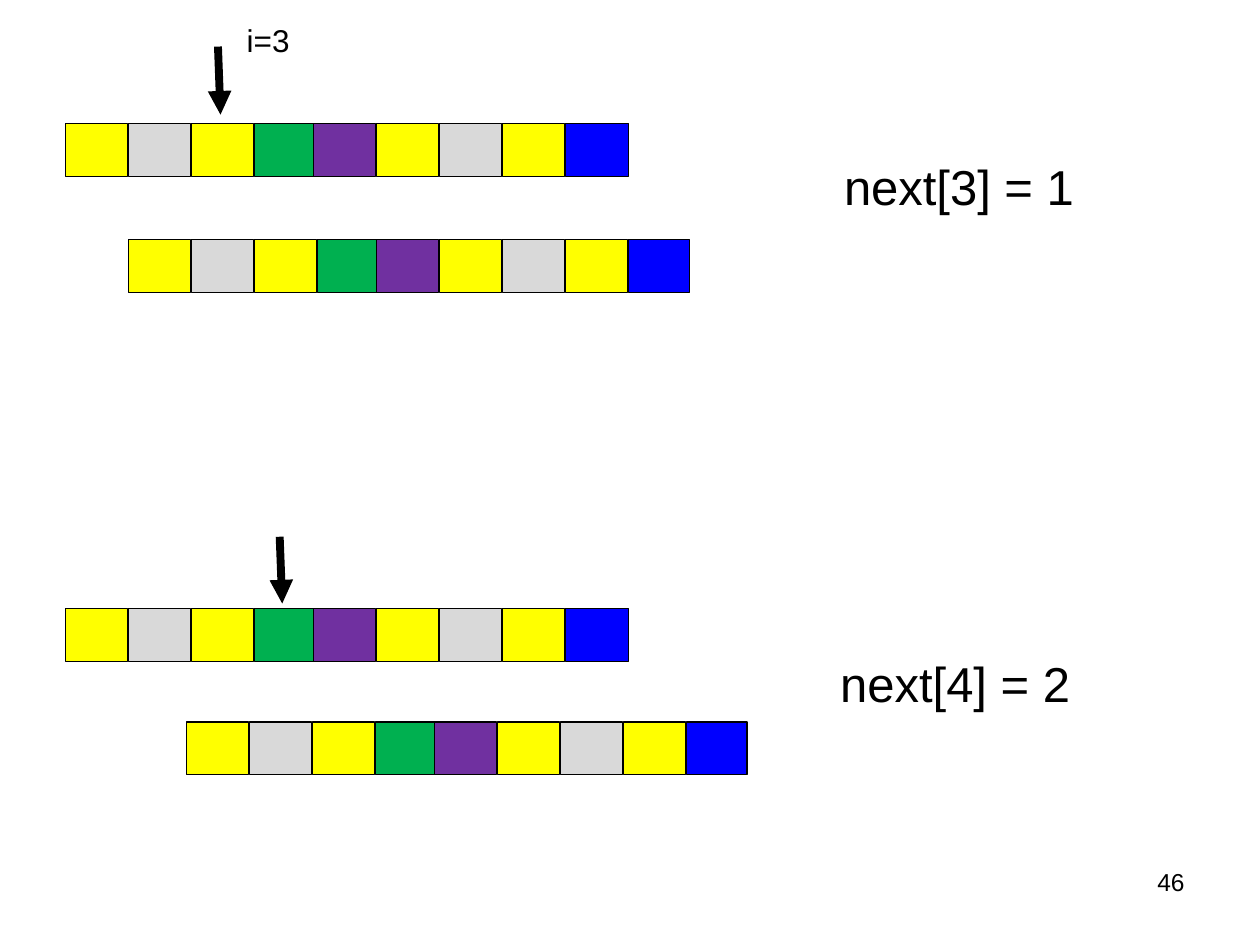
from typing import NamedTuple

from lxml import etree
from pptx import Presentation
from pptx.dml.color import RGBColor
from pptx.enum.shapes import MSO_CONNECTOR, MSO_SHAPE
from pptx.enum.text import PP_ALIGN
from pptx.oxml.ns import qn
from pptx.slide import Slide
from pptx.util import Inches, Pt

RECTANGLE = MSO_SHAPE.RECTANGLE
STRAIGHT = MSO_CONNECTOR.STRAIGHT
LEFT = PP_ALIGN.LEFT
RIGHT = PP_ALIGN.RIGHT

BLACK = RGBColor(0x00, 0x00, 0x00)
YELLOW = RGBColor(0xFF, 0xFF, 0x00)
GRAY = RGBColor(0xD9, 0xD9, 0xD9)
GREEN = RGBColor(0x00, 0xB0, 0x50)
PURPLE = RGBColor(0x70, 0x30, 0xA0)
BLUE = RGBColor(0x00, 0x00, 0xFF)

PATTERN = (YELLOW, GRAY, YELLOW, GREEN, PURPLE, YELLOW, GRAY, YELLOW, BLUE)
CELL_WIDTH = 0.49
CELL_HEIGHT = 0.42
CELL_STEP = 0.5
PURPLE_INDEX = PATTERN.index(PURPLE)
PURPLE_SHIFT = 0.03


class PatternRow(NamedTuple):
    left: float
    top: float
    last_width: float


class Label(NamedTuple):
    text: str
    left: float
    top: float
    width: float
    height: float
    size: int
    alignment: PP_ALIGN = LEFT
    wrap: bool = False


class Arrow(NamedTuple):
    start_x: float
    start_y: float
    end_x: float
    end_y: float


ROWS = (
    PatternRow(0.52, 0.98, 0.5),
    PatternRow(1.02, 1.9, 0.48),
    PatternRow(0.52, 4.83, 0.5),
    PatternRow(1.48, 5.73, 0.48),
)
LABELS = (
    Label("i=3", 1.86, 0.12, 0.55, 0.4, 18),
    Label("next[3] = 1", 6.6, 1.19, 2.05, 0.57, 28),
    Label("next[4] = 2", 6.57, 5.14, 2.05, 0.57, 28),
    Label("46", 7.17, 6.83, 2.33, 0.52, 14, RIGHT, True),
)
ARROWS = (
    Arrow(1.73, 0.37, 1.75, 0.91),
    Arrow(2.22, 4.26, 2.24, 4.79),
)


def draw_row(slide: Slide, row: PatternRow) -> None:
    last_index = len(PATTERN) - 1
    for index, color in enumerate(PATTERN):
        shift = PURPLE_SHIFT if index >= PURPLE_INDEX else 0
        width = row.last_width if index == last_index else CELL_WIDTH
        shape = slide.shapes.add_shape(
            RECTANGLE,
            Inches(row.left + index * CELL_STEP - shift),
            Inches(row.top),
            Inches(width),
            Inches(CELL_HEIGHT),
        )
        shape.shadow.inherit = False
        shape.fill.solid()
        shape.fill.fore_color.rgb = color
        shape.line.color.rgb = BLACK
        shape.line.width = Pt(0.75)


def draw_label(slide: Slide, label: Label) -> None:
    box = slide.shapes.add_textbox(
        Inches(label.left), Inches(label.top),
        Inches(label.width), Inches(label.height),
    )
    box.text_frame.word_wrap = label.wrap
    paragraph = box.text_frame.paragraphs[0]
    paragraph.alignment = label.alignment
    run = paragraph.add_run()
    run.text = label.text
    font_format = {"name": "Arial", "size": Pt(label.size)}
    for attribute, value in font_format.items():
        setattr(run.font, attribute, value)
    run.font.color.rgb = BLACK


def draw_arrow(slide: Slide, arrow: Arrow) -> None:
    connector = slide.shapes.add_connector(
        STRAIGHT,
        Inches(arrow.start_x), Inches(arrow.start_y),
        Inches(arrow.end_x), Inches(arrow.end_y),
    )
    connector.line.color.rgb = BLACK
    connector.line.width = Pt(4.5)
    properties = connector.element.spPr
    line = properties.find(qn("a:ln"))
    etree.SubElement(line, qn("a:tailEnd"), type="triangle")
    etree.SubElement(properties, qn("a:effectLst"))


def main() -> None:
    presentation = Presentation()
    presentation.slide_width = Inches(10)
    presentation.slide_height = Inches(7.5)
    slide = presentation.slides.add_slide(presentation.slide_layouts[6])
    for row in ROWS:
        draw_row(slide, row)
    for label in LABELS:
        draw_label(slide, label)
    for arrow in ARROWS:
        draw_arrow(slide, arrow)
    presentation.save("out.pptx")


if __name__ == "__main__":
    main()
